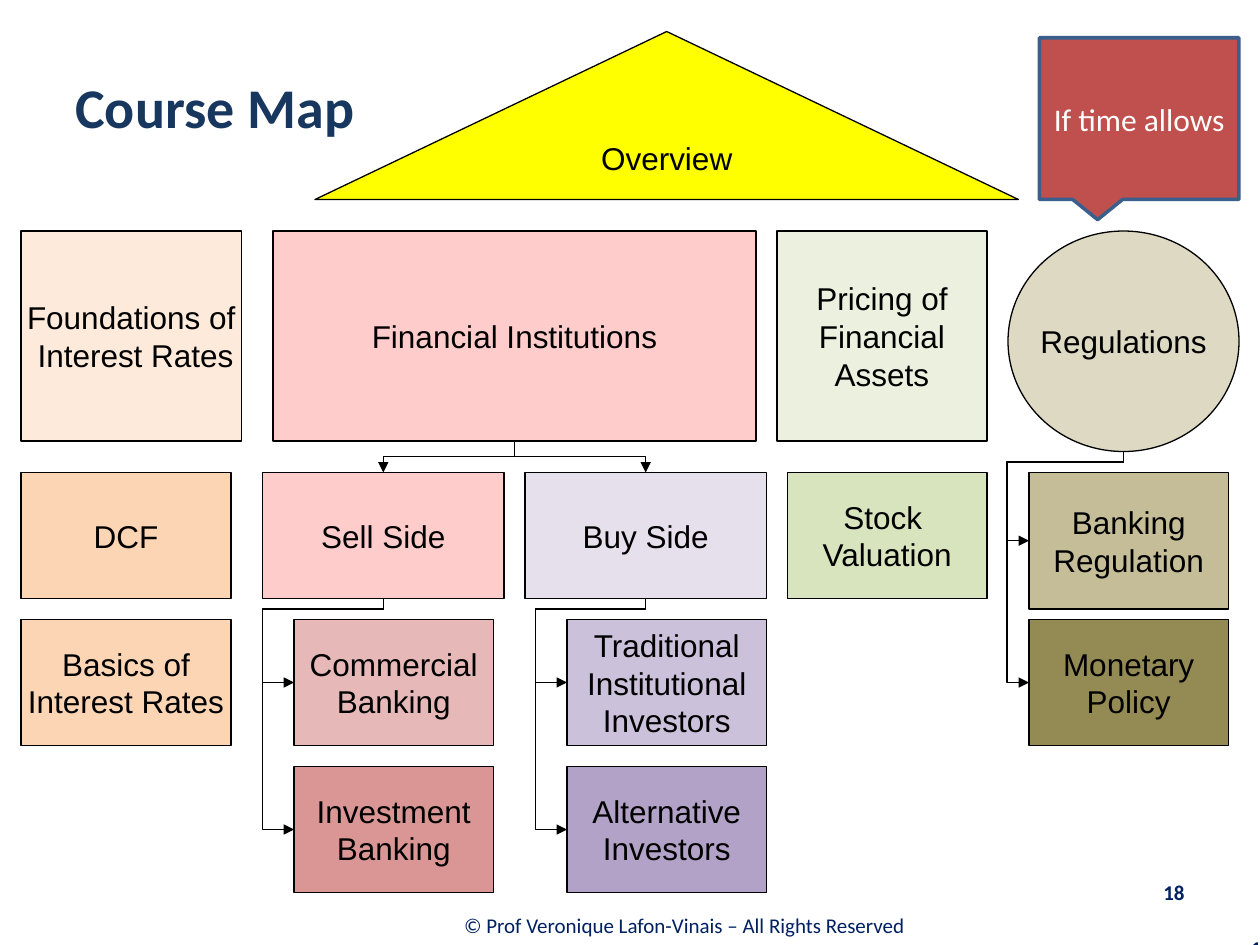
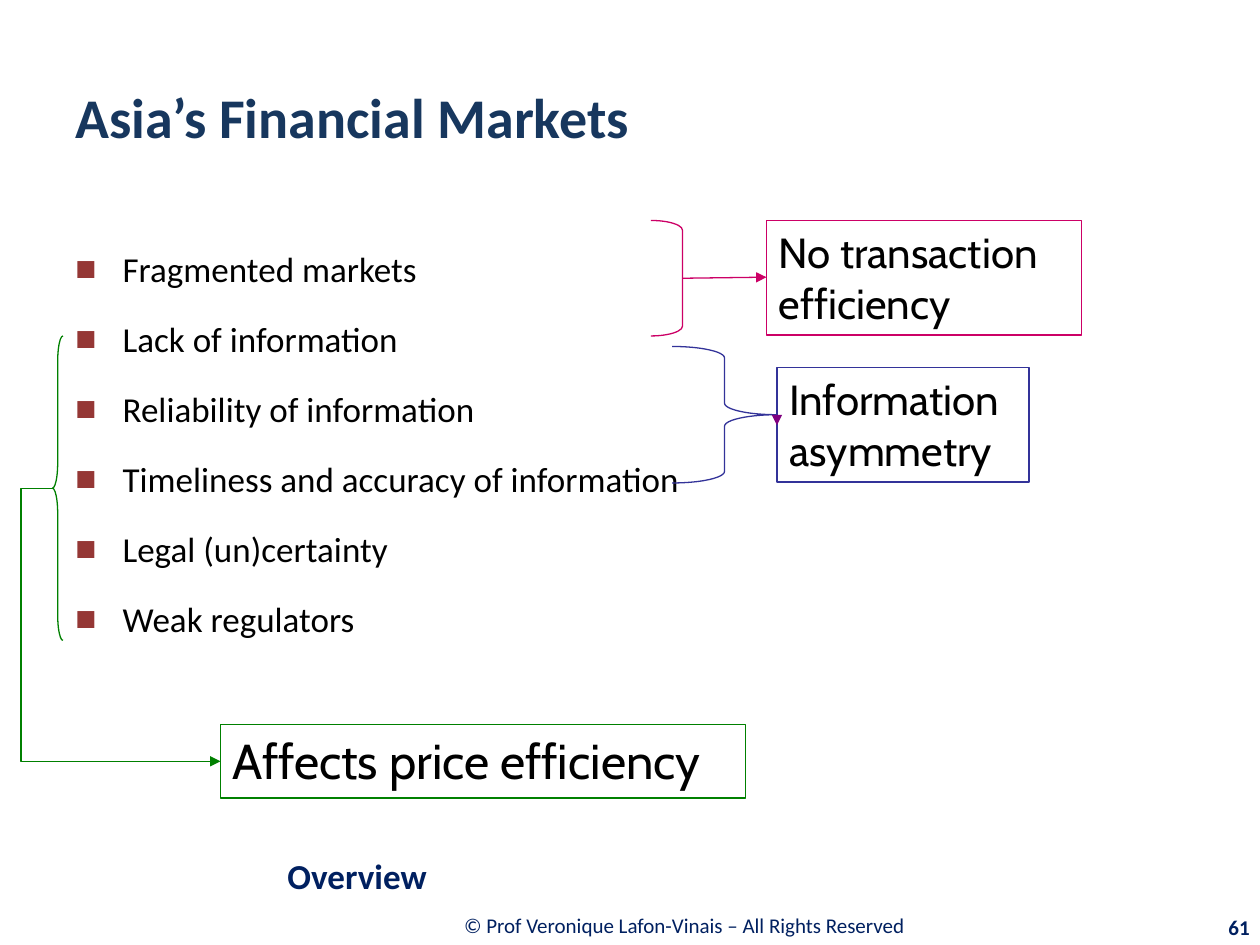
"""Build a course map slide and a slide on Asia's financial markets."""
import dataclasses

import pptx
import pptx.dml.color
import pptx.enum.shapes
import pptx.enum.text
import pptx.oxml.ns
import pptx.util
from lxml import etree

SCALE = 914400 // 120
KIND = pptx.enum.shapes.MSO_SHAPE
WIRE = pptx.enum.shapes.MSO_CONNECTOR
ALIGN = pptx.enum.text.PP_ALIGN
ANCHOR = pptx.enum.text.MSO_ANCHOR


@dataclasses.dataclass(frozen=True)
class Theme:
    """Hold the colours, fonts and type sizes of the deck."""
    navy: str = "002060"
    title: str = "17375E"
    ink: str = "000000"
    white: str = "FFFFFF"
    bullet: str = "953735"
    green: str = "008000"
    blue: str = "333399"
    purple: str = "800080"
    pink: str = "CC0066"
    rose: str = "FFCCCC"
    peach: str = "FCD5B5"
    red: str = "C0504D"
    steel: str = "3A5F8C"
    sans: str = "Calibri"
    plain: str = "Arial"
    note: str = "Cabin"
    head: int = 32
    large: int = 28
    mid: int = 24
    body: int = 20
    label: int = 18
    small: int = 12
    hair: float = 0.75


THEME = Theme()


def px(*spans):
    """Turn px lengths into EMU."""
    return [span * SCALE for span in spans]


def tint(code):
    """Return the colour for a hex code."""
    return pptx.dml.color.RGBColor.from_string(code)


def add_tag(parent, tag, /, **traits):
    """Append a drawing element with the given attributes."""
    return etree.SubElement(parent, pptx.oxml.ns.qn(tag), traits)


def write(frame, lines, size, font, hue, bold=False, align=ALIGN.LEFT):
    """Write each line as a paragraph with one styled run."""
    for spot, line in enumerate(lines):
        para = frame.add_paragraph() if spot else frame.paragraphs[0]
        para.alignment = align
        run = para.add_run()
        run.text = line
        run.font.size = pptx.util.Pt(size)
        run.font.name = font
        run.font.bold = bold
        run.font.color.rgb = tint(hue)


def add_text(page, box, lines, size, hue, bold=False, align=ALIGN.LEFT,
             anchor=ANCHOR.MIDDLE):
    """Add a wrapping text box and return its frame."""
    frame = page.shapes.add_textbox(*px(*box)).text_frame
    frame.word_wrap = True
    frame.vertical_anchor = anchor
    write(frame, lines, size, THEME.sans, hue, bold, align)
    return frame


def add_form(page, kind, box, fill=None, line=THEME.ink, width=THEME.hair):
    """Add a flat preset shape."""
    form = page.shapes.add_shape(kind, *px(*box))
    form.shadow.inherit = False
    if fill:
        form.fill.solid()
        form.fill.fore_color.rgb = tint(fill)
    else:
        form.fill.background()
    form.line.color.rgb = tint(line)
    form.line.width = pptx.util.Pt(width)
    return form


def add_node(page, box, fill, *lines, kind=KIND.RECTANGLE, wrap=False):
    """Add a filled map shape with a centred label."""
    form = add_form(page, kind, box, fill)
    form.text_frame.word_wrap = wrap
    form.text_frame.vertical_anchor = ANCHOR.MIDDLE
    write(form.text_frame, lines, THEME.label, THEME.plain, THEME.ink,
          align=ALIGN.CENTER)
    return form


def add_note(page, box, hue, text, size):
    """Add an outlined box with a remark."""
    form = add_form(page, KIND.RECTANGLE, box, line=hue)
    form.text_frame.word_wrap = True
    form.text_frame.vertical_anchor = ANCHOR.TOP
    write(form.text_frame, [text], size, THEME.note, THEME.ink)
    return form


def add_clasp(page, kind, box, hue, bend):
    """Add a brace or bracket with the given curve."""
    form = add_form(page, kind, box, line=hue)
    form.adjustments[0] = bend
    return form


def add_arrow(page, start, end, hue=THEME.ink, kind=WIRE.STRAIGHT):
    """Add a thin connector with an arrowhead, placed in EMU."""
    link = page.shapes.add_connector(kind, *start, *end)
    link.line.color.rgb = tint(hue)
    link.line.width = pptx.util.Pt(THEME.hair)
    add_tag(link.line._get_or_add_ln(), "a:tailEnd", type="triangle")
    add_tag(link._element.spPr, "a:effectLst")
    return link


def bend_link(link, kind, *ratios):
    """Set the elbow type and its bend ratios."""
    shape = link._element.spPr.find(pptx.oxml.ns.qn("a:prstGeom"))
    shape.set("prst", kind)
    guides = shape.find(pptx.oxml.ns.qn("a:avLst"))
    for spot, ratio in enumerate(ratios, 1):
        add_tag(guides, "a:gd", name=f"adj{spot}",
                fmla=f"val {round(ratio * 100000)}")


def add_branch(page, root, leaf, lane=None, site=2):
    """Join a root's foot to a leaf's top, or to its left by a lane."""
    x, y = root.left + root.width // 2, root.top + root.height
    if lane:
        end = leaf.left, leaf.top + leaf.height // 2
    else:
        end = leaf.left + leaf.width // 2, leaf.top
    wide, tall = abs(end[0] - x), end[1] - y
    link = add_arrow(page, (x, y), end, kind=WIRE.ELBOW)
    link.begin_connect(root, 2)
    link.end_connect(leaf, 1 if lane else 0)
    start = next(link._element.iter(pptx.oxml.ns.qn("a:stCxn")))
    start.set("idx", str(site))
    link.left = (x + end[0] - tall) // 2
    link.top = (y + end[1] - wide) // 2
    link.width, link.height = tall, wide
    right = end[0] > x
    place = link._element.spPr.find(pptx.oxml.ns.qn("a:xfrm"))
    place.set("rot", "16200000" if right else "5400000")
    place.set("flipH", "1" if right else "0")
    place.set("flipV", "0")
    if lane:
        bend_link(link, "bentConnector4", 10 * SCALE / tall,
                  1 + lane * SCALE / wide)
    else:
        bend_link(link, "bentConnector3", 0.5)


def add_page(deck, title, box):
    """Add a blank slide with its title and footer."""
    page = deck.slides.add_slide(deck.slide_layouts[6])
    add_text(page, (263, 858, 778, 47),
             ["© Prof Veronique Lafon-Vinais – All Rights Reserved"],
             THEME.small, THEME.navy, align=ALIGN.CENTER)
    add_text(page, box, [title], THEME.head, THEME.title, True)
    return page


def add_count(page, box, text):
    """Add a slide number."""
    add_text(page, box, [text], THEME.small, THEME.navy, True, ALIGN.RIGHT)


def add_list(page, box, lines):
    """Add a list with square bullets."""
    frame = add_text(page, box, lines, THEME.body, THEME.ink,
                     anchor=ANCHOR.TOP)
    for para in frame.paragraphs:
        para.line_spacing = 1.5
        para.space_before = pptx.util.Pt(4)
        props = para._p.get_or_add_pPr()
        props.set("marL", "342900")
        props.set("indent", "-342900")
        add_tag(add_tag(props, "a:buClr"), "a:srgbClr", val=THEME.bullet)
        add_tag(props, "a:buFont", typeface=THEME.plain)
        add_tag(props, "a:buChar", char="■")


def draw_map(deck):
    """Draw the course map."""
    page = add_page(deck, "Course Map", (60, 16, 310, 170))
    add_count(page, (860, 820, 280, 60), "18")
    add_count(page, (1102, 884, 121, 38), "18")
    add_node(page, (300, 30, 670, 160), "FFFF00", "Overview",
             kind=KIND.FLOWCHART_EXTRACT)
    add_node(page, (20, 220, 210, 200), "FDEADA", "Foundations of",
             " Interest Rates")
    add_node(page, (20, 450, 200, 120), THEME.peach, "DCF")
    add_node(page, (20, 590, 200, 120), THEME.peach, "Basics of",
             "Interest Rates")
    add_node(page, (740, 220, 200, 200), "EBF1DE",
             "Pricing of Financial Assets", wrap=True)
    add_node(page, (750, 450, 190, 120), "D7E4BD", "Stock ", "Valuation")

    firms = add_node(page, (260, 220, 460, 200), THEME.rose,
                     "Financial Institutions")
    sides = (
        (250, 280, THEME.rose, "Sell Side",
         (("E6B9B8", "Commercial Banking"), ("D99694", "Investment Banking"))),
        (500, 540, "E6E0EC", "Buy Side",
         (("CCC1DA", "Traditional Institutional Investors"),
          ("B3A2C7", "Alternative Investors"))),
    )
    for left, inset, fill, name, leaves in sides:
        side = add_node(page, (left, 450, 230, 120), fill, name)
        add_branch(page, firms, side)
        for row, (shade, text) in enumerate(leaves):
            leaf = add_node(page, (inset, 590 + 140 * row, 190, 120), shade,
                            text, wrap=True)
            add_branch(page, side, leaf, 30)

    rules = add_node(page, (960, 220, 220, 210), "DDD9C3", "Regulations",
                     kind=KIND.OVAL)
    for top, tall, fill, text in ((450, 130, "C4BD97", "Banking Regulation"),
                                  (590, 120, "948A54", "Monetary Policy")):
        leaf = add_node(page, (980, top, 190, tall), fill, text, wrap=True)
        add_branch(page, rules, leaf, 21, site=4)

    flag = add_form(page, KIND.RECTANGULAR_CALLOUT, (990, 36, 190, 154),
                    THEME.red, THEME.steel, 2)
    flag.text_frame.word_wrap = True
    flag.text_frame.vertical_anchor = ANCHOR.MIDDLE
    write(flag.text_frame, ["If time allows"], THEME.label, THEME.sans,
          THEME.white, align=ALIGN.CENTER)


def draw_asia(deck):
    """Draw the market flaws and their effects."""
    page = add_page(deck, "Asia’s Financial Markets", (60, 36, 1080, 150))
    add_list(page, (60, 210, 1080, 594), (
        "Fragmented markets", "Lack of information",
        "Reliability of information",
        "Timeliness and accuracy of information",
        "Legal (un)certainty", "Weak regulators"))

    brace = add_clasp(page, KIND.LEFT_BRACE, (50, 320, 10, 290),
                      THEME.green, 2.42)
    price = add_note(page, (210, 690, 500, 70), THEME.green,
                     "Affects price efficiency", THEME.large)
    link = add_arrow(page, px(50, 465), px(210, 725), THEME.green, WIRE.ELBOW)
    link.begin_connect(brace, 1)
    link.end_connect(price, 1)
    bend_link(link, "bentConnector3", -30 / 160)

    add_clasp(page, KIND.RIGHT_BRACE, (640, 330, 100, 130), THEME.blue, 0.11)
    add_note(page, (740, 350, 240, 109), THEME.blue, "Information asymmetry",
             THEME.mid)
    add_arrow(page, px(740, 395), px(740, 405), THEME.purple)

    add_clasp(page, KIND.RIGHT_BRACKET, (620, 210, 30, 110), THEME.pink, 0.31)
    add_note(page, (730, 210, 300, 109), THEME.pink,
             "No transaction efficiency", THEME.mid)
    add_arrow(page, px(650, 265), px(730, 264), THEME.pink)

    add_text(page, (262, 806, 938, 56), ["Overview"], THEME.body, THEME.navy,
             True)
    add_count(page, (1081, 864, 121, 38), "61")


def main():
    """Build and save the deck."""
    deck = pptx.Presentation()
    deck.slide_width, deck.slide_height = px(1200, 900)
    draw_map(deck)
    draw_asia(deck)
    deck.save("out.pptx")


if __name__ == "__main__":
    main()
